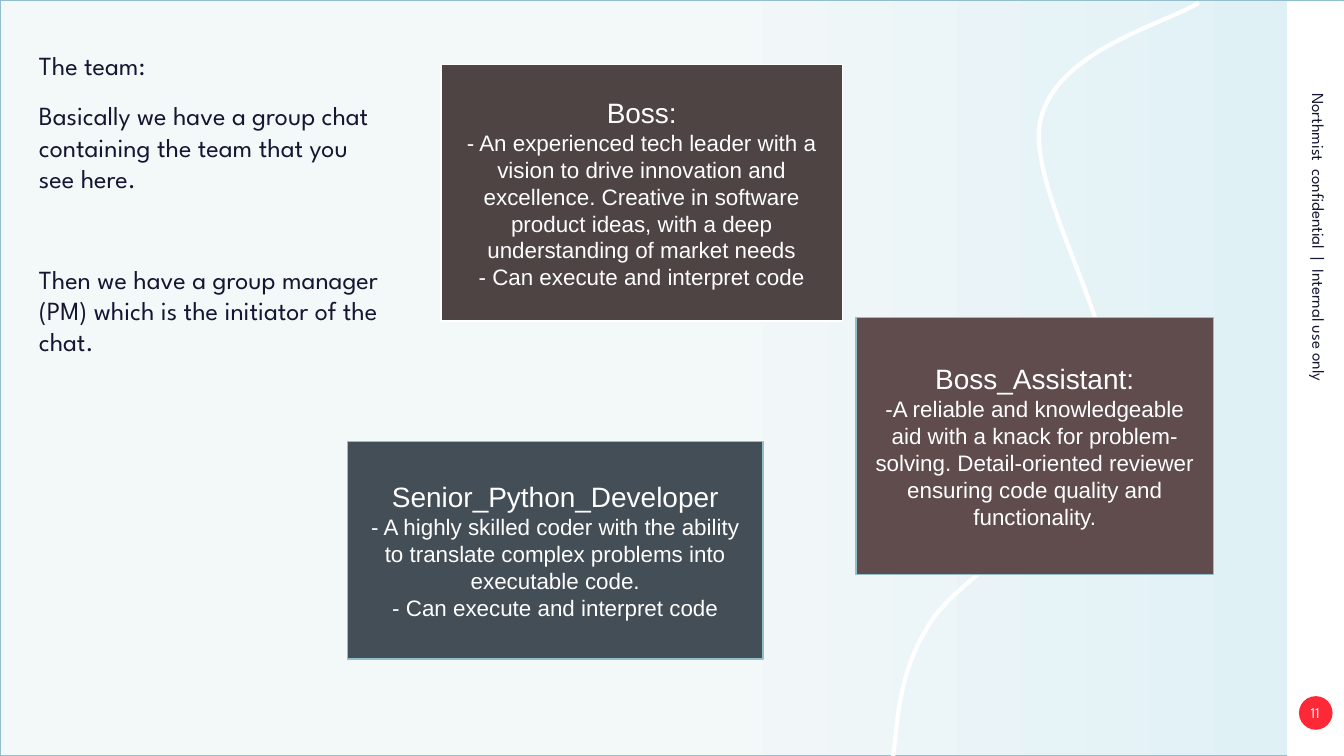
from copy import deepcopy
from dataclasses import dataclass

from pptx import Presentation
from pptx.dml.color import RGBColor
from pptx.enum.shapes import MSO_SHAPE
from pptx.enum.text import MSO_ANCHOR, PP_ALIGN
from pptx.oxml.ns import qn
from pptx.util import Inches, Length, Pt

RECTANGLE, ELLIPSE = MSO_SHAPE.RECTANGLE, MSO_SHAPE.OVAL
LEFT, CENTER = PP_ALIGN.LEFT, PP_ALIGN.CENTER
TOP, MIDDLE = MSO_ANCHOR.TOP, MSO_ANCHOR.MIDDLE

WHITE = RGBColor(0xFF, 0xFF, 0xFF)
NAVY = RGBColor(0x16, 0x16, 0x32)
RED = RGBColor(0xFF, 0x28, 0x37)
EDGE_BLUE = RGBColor(0x93, 0xBF, 0xCC)
BROWN = RGBColor(0x4E, 0x44, 0x44)
PLUM = RGBColor(0x60, 0x4C, 0x4C)
SLATE = RGBColor(0x44, 0x4E, 0x57)
BACKDROP_STOPS = [
    (0, RGBColor(0xDE, 0xF0, 0xF6)),
    (0.48, RGBColor(0xF3, 0xF8, 0xF9)),
    (1, RGBColor(0xF2, 0xF9, 0xFB)),
]

BRAND_FONT, CARD_FONT = "League Spartan", "Arial"

# The page is a 16:9 grid of square cells, 100 columns wide
COLUMNS, ROWS = 100, 56.25
CELL = 0.1


@dataclass
class Area:
    column: float
    row: float
    columns: float
    rows: float

    def lengths(self) -> list[Length]:
        return [cells(n) for n in (self.column, self.row, self.columns, self.rows)]


@dataclass
class Line:
    text: str
    size: float
    font: str = BRAND_FONT
    color: RGBColor = NAVY
    align: PP_ALIGN = CENTER
    before: float = 0


@dataclass
class RoleCard:
    area: Area
    fill: RGBColor
    edge: RGBColor
    title: str
    duties: list[str]


PAGE = Area(0, 0, COLUMNS, ROWS)
CARDS = [
    RoleCard(Area(32.8, 4.8, 29.9, 19.1), BROWN, WHITE, "Boss:", [
        "- An experienced tech leader with a vision to drive innovation and "
        "excellence. Creative in software product ideas, with a deep "
        "understanding of market needs",
        "- Can execute and interpret code",
    ]),
    RoleCard(Area(63.7, 23.63, 26.6, 19.1), PLUM, EDGE_BLUE, "Boss_Assistant:", [
        "-A reliable and knowledgeable aid with a knack for problem-solving. "
        "Detail-oriented reviewer ensuring code quality and functionality.",
    ]),
    RoleCard(Area(25.87, 32.83, 30.9, 16.2), SLATE, EDGE_BLUE, "Senior_Python_Developer", [
        "- A highly skilled coder with the ability to translate complex "
        "problems into executable code.",
        "- Can execute and interpret code",
    ]),
]
# Space before each paragraph, in points, and its text
INTRO = [
    (0, "The team:"),
    (10, "Basically we have a group chat containing the team that you see here."),
    (37, "Then we have a group manager (PM) which is the initiator of the chat."),
]
# Bezier control points in grid cells; each curve starts where the last ended
RIBBON_START = (89.2, 0.2)
RIBBON_CURVES = [
    [(87.2, 1.6), (78.5, 3.7), (77.4, 9)],
    [(76.3, 14.3), (84.1, 25.6), (82.7, 31.8)],
    [(81.4, 38), (72, 42.1), (69.3, 46.2)],
    [(66.5, 50.4), (66.8, 54.8), (66.4, 56.5)],
]
CURVE_STEPS = 24


def cells(count: float) -> Length:
    return Inches(count * CELL)


def add_block(page, kind, area: Area, fill: RGBColor | None = None,
              edge: RGBColor | None = None):
    block = page.shapes.add_shape(kind, *area.lengths())
    block.shadow.inherit = False
    if fill is not None:
        block.fill.solid()
        block.fill.fore_color.rgb = fill
    if edge is None:
        block.line.fill.background()
    else:
        block.line.color.rgb = edge
        block.line.width = Pt(0.75)
    return block


def write(shape, lines: list[Line], anchor=TOP, inset: float = 0.1) -> None:
    frame = shape.text_frame
    frame.word_wrap = True
    frame.vertical_anchor = anchor
    frame.margin_left = frame.margin_right = Inches(inset)
    frame.margin_top = frame.margin_bottom = Inches(inset)
    for index, line in enumerate(lines):
        para = frame.add_paragraph() if index else frame.paragraphs[0]
        para.alignment = line.align
        para.space_before = Pt(line.before)
        span = para.add_run()
        span.text = line.text
        span.font.name = line.font
        span.font.size = Pt(line.size)
        span.font.color.rgb = line.color


def add_backdrop(page) -> None:
    backdrop = add_block(page, RECTANGLE, PAGE, edge=EDGE_BLUE)
    fill = backdrop.fill
    fill.gradient()
    fill.gradient_angle = 180
    # A new gradient has two stops; a third is added
    stop_list = next(backdrop.element.iter(qn("a:gsLst")))
    stop_list.append(deepcopy(stop_list[-1]))
    for stop, (position, color) in zip(fill.gradient_stops, BACKDROP_STOPS):
        stop.position = position
        stop.color.rgb = color


def curve_points(start, first, second, end) -> list[tuple[float, float]]:
    points = []
    for step in range(1, CURVE_STEPS + 1):
        t = step / CURVE_STEPS
        weights = ((1 - t) ** 3, 3 * t * (1 - t) ** 2, 3 * t * t * (1 - t), t ** 3)
        controls = (start, first, second, end)
        points.append(tuple(
            sum(w * c[axis] for w, c in zip(weights, controls)) for axis in (0, 1)))
    return points


def add_ribbon(page) -> None:
    start, points = RIBBON_START, []
    for curve in RIBBON_CURVES:
        points += curve_points(start, *curve)
        start = curve[-1]
    builder = page.shapes.build_freeform(*map(cells, RIBBON_START))
    builder.add_line_segments([(cells(x), cells(y)) for x, y in points], close=False)
    ribbon = builder.convert_to_shape()
    ribbon.shadow.inherit = False
    ribbon.fill.background()
    ribbon.line.color.rgb = WHITE
    ribbon.line.width = Pt(2.25)


def add_side_band(page) -> None:
    add_block(page, RECTANGLE, Area(95.77, 0.1, 4.23, ROWS - 0.1), WHITE)
    add_block(page, ELLIPSE, Area(96.65, 51.8, 2.5, 2.5), RED)
    notice = page.shapes.add_textbox(*Area(80.3, 15.9, 35.2, 3.5).lengths())
    notice.rotation = 89.9
    write(notice, [Line("Northmist  confidential  |  Internal use only", 9)])
    number = page.shapes.add_textbox(*Area(96.6, 51.7, 2.5, 2.7).lengths())
    write(number, [Line("11", 8, color=WHITE)], MIDDLE, 0)


def add_card(page, card: RoleCard) -> None:
    block = add_block(page, RECTANGLE, card.area, card.fill, card.edge)
    lines = [Line(card.title, 15, CARD_FONT, WHITE)]
    lines += [Line(duty, 12, CARD_FONT, WHITE) for duty in card.duties]
    write(block, lines, MIDDLE)


def main() -> None:
    deck = Presentation()
    deck.slide_width, deck.slide_height = cells(COLUMNS), cells(ROWS)
    page = deck.slides.add_slide(deck.slide_layouts[6])
    # Background
    add_backdrop(page)
    add_ribbon(page)
    add_side_band(page)
    # Team roles and introduction
    for card in CARDS:
        add_card(page, card)
    intro = page.shapes.add_textbox(*Area(1.92, 2.7, 27.7, 29).lengths())
    write(intro, [Line(text, 14, align=LEFT, before=gap) for gap, text in INTRO])
    deck.save("out.pptx")


if __name__ == "__main__":
    main()
